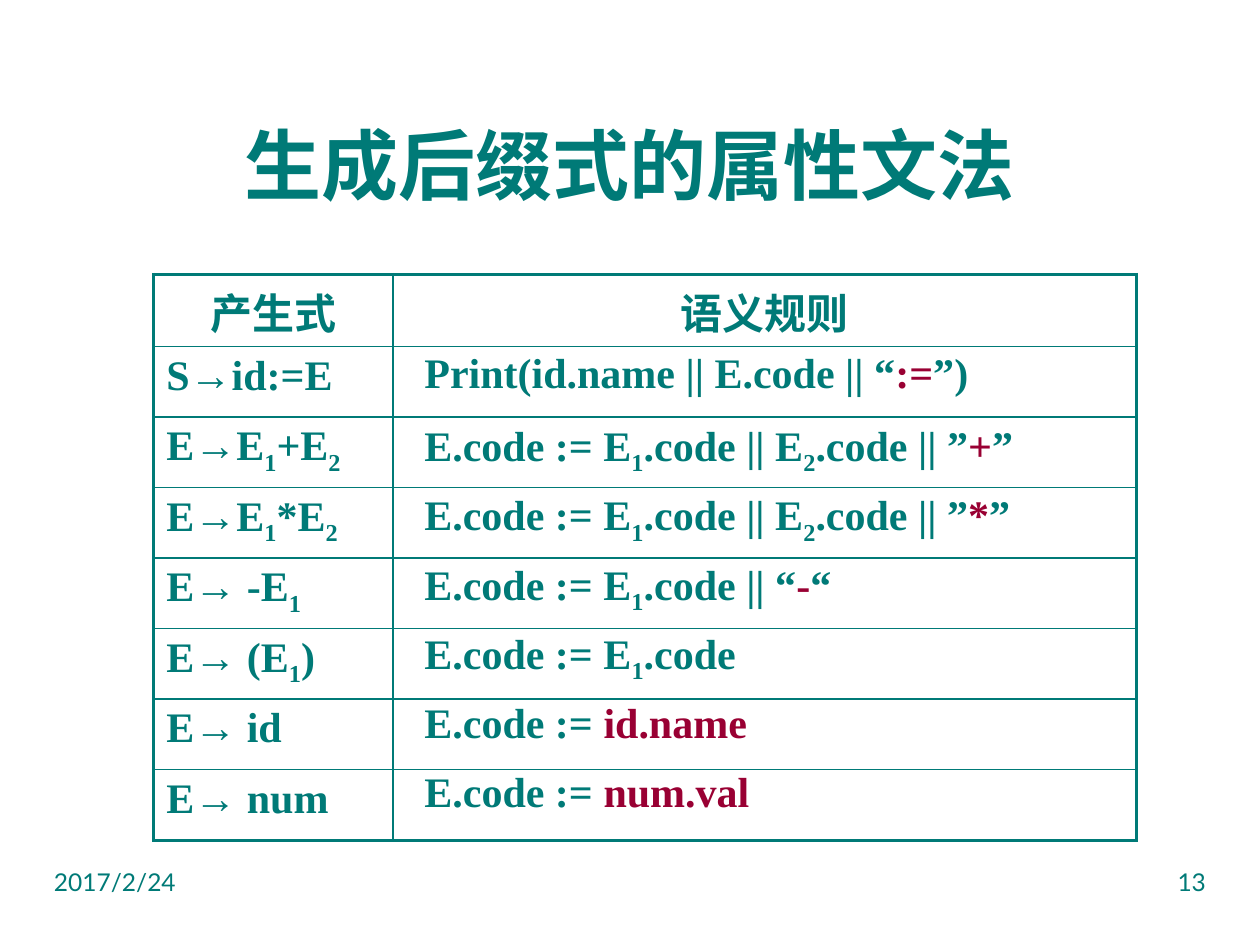
from lxml import etree
from pptx import Presentation
from pptx.dml.color import RGBColor
from pptx.enum.text import MSO_ANCHOR, MSO_AUTO_SIZE, PP_ALIGN
from pptx.oxml.ns import qn
from pptx.util import Inches, Pt

LEFT, CENTER, RIGHT = PP_ALIGN.LEFT, PP_ALIGN.CENTER, PP_ALIGN.RIGHT
MIDDLE = MSO_ANCHOR.MIDDLE
FIT_SHAPE = MSO_AUTO_SIZE.SHAPE_TO_FIT_TEXT
COLORS = {"teal": "007A77", "red": "990033"}
SERIF, SANS = "Times New Roman", "Lato"
THIN, THICK = Pt(1), Pt(2.25)

HEADINGS = ["产生式", "语义规则"]
# ~x~ is a subscript, ^x^ is highlighted; each rule goes with its box width
GRAMMAR = [
    ("S→id:=E", "Print(id.name || E.code || “^:=^”)", 4.6),
    ("E→E~1~+E~2~", "E.code := E~1~.code || E~2~.code || ”^+^”", 5),
    ("E→E~1~*E~2~", "E.code := E~1~.code || E~2~.code || ”^*^”", 5),
    ("E→ -E~1~", "E.code := E~1~.code || “^-^“", 3.5),
    ("E→ (E~1~)", "E.code := E~1~.code", 2.75),
    ("E→ id", "E.code := ^id.name^", 2.85),
    ("E→ num", "E.code := ^num.val^", 2.95),
]
TABLE_LEFT, TABLE_TOP = 1.22, 2.18
COLUMN_WIDTHS = [1.9, 5.9]
HEADING_HEIGHT, ROW_HEIGHT = 0.57, 0.56
RULE_LEFT, RULE_TOP, RULE_STEP = 3.27, 2.73, 0.55


def write(frame, text, size=24, font=SERIF, bold=True, align=LEFT):
    """Fill the first paragraph, turning ~x~ into subscript and ^x^ into red."""
    paragraph = frame.paragraphs[0]
    paragraph.alignment = align
    for color_index, colored in enumerate(text.split("^")):
        for base_index, part in enumerate(colored.split("~")):
            if not part:
                continue
            run = paragraph.add_run()
            run.text = part
            run.font.size = Pt(size)
            run.font.name = font
            run.font.bold = bold
            color = COLORS["red" if color_index % 2 else "teal"]
            run.font.color.rgb = RGBColor.from_string(color)
            if base_index % 2:
                run.font._element.set("baseline", "-25000")


def set_border(cell, side, width):
    line = etree.SubElement(cell._tc.get_or_add_tcPr(), qn(f"a:ln{side}"), w=str(width))
    fill = etree.SubElement(line, qn("a:solidFill"))
    etree.SubElement(fill, qn("a:srgbClr"), val=COLORS["teal"])


presentation = Presentation()
presentation.slide_width, presentation.slide_height = Inches(10), Inches(7.5)
slide = presentation.slides.add_slide(presentation.slide_layouts[6])

# Title
title = slide.shapes.add_textbox(Inches(0.33), Inches(0.67), Inches(9.34), Inches(1.25))
title.text_frame.word_wrap = True
title.text_frame.vertical_anchor = MIDDLE
write(title.text_frame, "生成后缀式的属性文法", size=44, align=CENTER)

# Table of productions
row_count, column_count = len(GRAMMAR) + 1, len(COLUMN_WIDTHS)
table = slide.shapes.add_table(
    row_count, column_count, Inches(TABLE_LEFT), Inches(TABLE_TOP),
    Inches(sum(COLUMN_WIDTHS)), Inches(HEADING_HEIGHT + ROW_HEIGHT * len(GRAMMAR)),
).table
table.first_row = table.horz_banding = False
for column, width in zip(table.columns, COLUMN_WIDTHS):
    column.width = Inches(width)
for row_index, row in enumerate(table.rows):
    row.height = Inches(ROW_HEIGHT if row_index else HEADING_HEIGHT)
    for column_index, cell in enumerate(row.cells):
        outer_sides = {
            "L": column_index == 0,
            "R": column_index == column_count - 1,
            "T": row_index == 0,
            "B": row_index == row_count - 1,
        }
        for side, is_outer in outer_sides.items():
            set_border(cell, side, THICK if is_outer else THIN)
        cell.fill.background()

for cell, heading in zip(table.rows[0].cells, HEADINGS):
    write(cell.text_frame, heading, align=CENTER)

# Productions in the first column, semantic rules in boxes over the second
for index, (production, rule, width) in enumerate(GRAMMAR):
    write(table.cell(index + 1, 0).text_frame, production)
    top = RULE_TOP + index * RULE_STEP if index else 2.7
    box = slide.shapes.add_textbox(Inches(RULE_LEFT), Inches(top), Inches(width), Inches(0.5))
    box.text_frame.word_wrap = True
    box.text_frame.auto_size = FIT_SHAPE
    write(box.text_frame, rule)

# Footer
for left, text, align in [(0.33, "2017/2/24", LEFT), (7.17, "13", RIGHT)]:
    footer = slide.shapes.add_textbox(Inches(left), Inches(6.83), Inches(2.5), Inches(0.52))
    footer.text_frame.word_wrap = True
    write(footer.text_frame, text, size=14, font=SANS, bold=False, align=align)

presentation.save("out.pptx")
